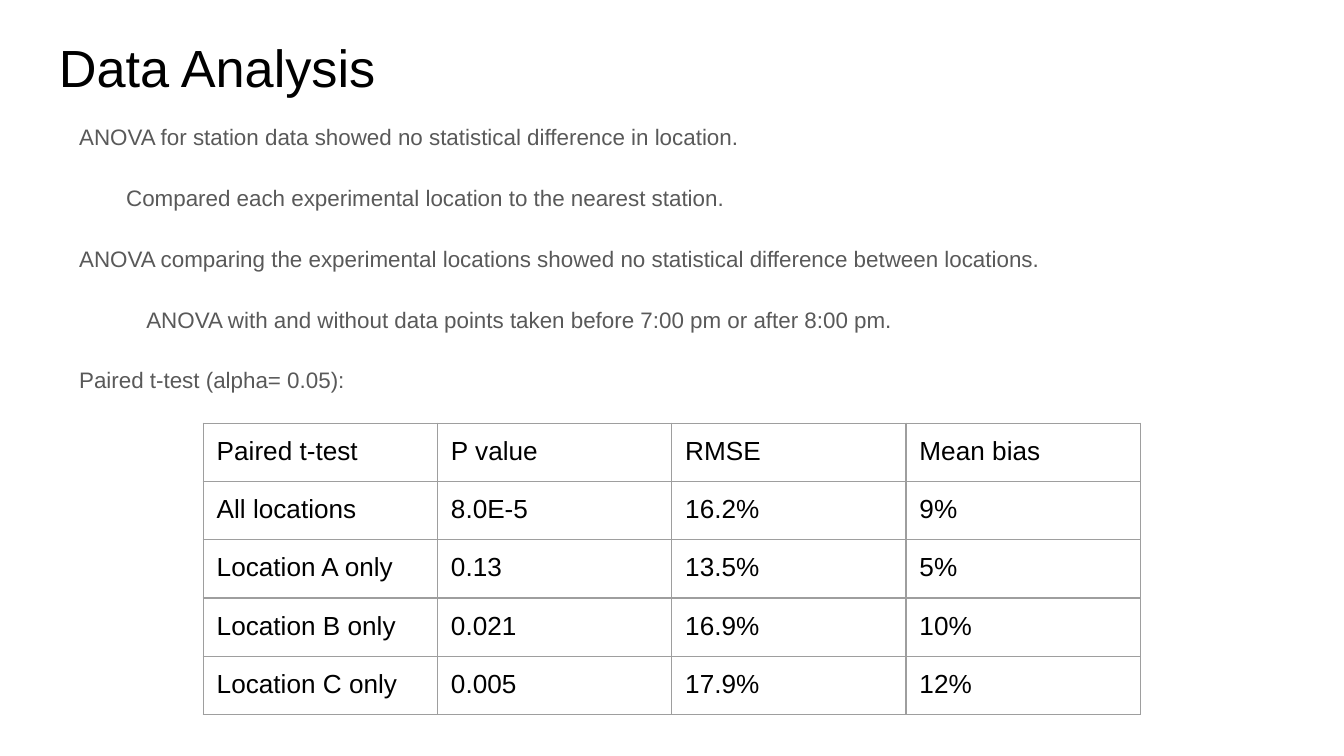
from dataclasses import dataclass

from lxml.etree import SubElement
from pptx import Presentation
from pptx.dml.color import RGBColor
from pptx.enum.text import MSO_ANCHOR
from pptx.oxml.ns import qn
from pptx.slide import Slide
from pptx.table import _Cell
from pptx.text.text import TextFrame
from pptx.util import Pt

COLORS = {"ink": "000000", "body": "595959", "border": "9E9E9E"}
INSET = 7.2
MARGINS = {f"margin_{side}": Pt(INSET) for side in ("left", "top", "right", "bottom")}
PLAIN = {"line_spacing": 1.0, "space_after": Pt(0)}
SPACED = {"line_spacing": 1.15, "space_after": Pt(16)}


@dataclass
class Line:
    text: str
    indent: float = 0
    hanging: float = 0
    level: int = 0


@dataclass
class Style:
    size: float
    color: str
    spacing: dict


@dataclass
class TextBlock:
    left: float
    top: float
    width: float
    height: float
    style: Style
    lines: list[Line]


@dataclass
class Grid:
    left: float
    top: float
    column_width: float
    row_height: float
    style: Style
    rows: list[list[str]]


TITLE = TextBlock(24.5, 11.5, 671, 45.4, Style(28, "ink", PLAIN), [Line("Data Analysis")])

FINDINGS = TextBlock(24.5, 56.9, 671, 269.3, Style(12, "body", SPACED), [
    Line("ANOVA for station data showed no statistical difference in location.", 36, 25.2),
    Line("Compared each experimental location to the nearest station.", 36),
    Line("ANOVA comparing the experimental locations showed no statistical "
         "difference between locations.", 36, 25.2),
    Line("ANOVA with and without data points taken before 7:00 pm or after 8:00 pm.",
         72, 25.2, 1),
    Line("Paired t-test (alpha= 0.05):", 36, 25.2),
])

TEST_RESULTS = Grid(108.9, 226.7, 125.5, 31.2, Style(14, "ink", PLAIN), [
    ["Paired t-test", "P value", "RMSE", "Mean bias"],
    ["All locations", "8.0E-5", "16.2%", "9%"],
    ["Location A only", "0.13", "13.5%", "5%"],
    ["Location B only", "0.021", "16.9%", "10%"],
    ["Location C only", "0.005", "17.9%", "12%"],
])


def apply(target: object, values: dict) -> None:
    for name, value in values.items():
        setattr(target, name, value)


def write_lines(frame: TextFrame, lines: list[Line], style: Style) -> None:
    for index, line in enumerate(lines):
        para = frame.add_paragraph() if index else frame.paragraphs[0]
        apply(para, {"level": line.level, **style.spacing})
        properties = para._p.get_or_add_pPr()
        properties.set("marL", str(Pt(line.indent)))
        properties.set("indent", str(Pt(-line.hanging)))
        span = para.add_run()
        span.text = line.text
        apply(span.font, {"name": "Arial", "size": Pt(style.size)})
        span.font.color.rgb = RGBColor.from_string(COLORS[style.color])


def draw_text(page: Slide, block: TextBlock) -> None:
    box = page.shapes.add_textbox(
        Pt(block.left), Pt(block.top), Pt(block.width), Pt(block.height))
    apply(box.text_frame,
          {"word_wrap": True, "vertical_anchor": MSO_ANCHOR.TOP, **MARGINS})
    write_lines(box.text_frame, block.lines, block.style)


def draw_borders(cell: _Cell) -> None:
    properties = cell._tc.get_or_add_tcPr()
    for side in ("lnL", "lnR", "lnT", "lnB"):
        border = SubElement(properties, qn(f"a:{side}"), w=str(Pt(0.75)))
        fill = SubElement(border, qn("a:solidFill"))
        SubElement(fill, qn("a:srgbClr"), val=COLORS["border"])


def draw_table(page: Slide, grid: Grid) -> None:
    row_count, column_count = len(grid.rows), len(grid.rows[0])
    table = page.shapes.add_table(
        row_count, column_count, Pt(grid.left), Pt(grid.top),
        Pt(grid.column_width * column_count), Pt(grid.row_height * row_count)).table
    apply(table, {"first_row": False, "horz_banding": False})
    for column in table.columns:
        column.width = Pt(grid.column_width)
    for row, texts in zip(table.rows, grid.rows):
        row.height = Pt(grid.row_height)
        for cell, text in zip(row.cells, texts):
            apply(cell, {"vertical_anchor": MSO_ANCHOR.TOP, **MARGINS})
            write_lines(cell.text_frame, [Line(text)], grid.style)
            draw_borders(cell)
            cell.fill.background()


def main() -> None:
    deck = Presentation()
    apply(deck, {"slide_width": Pt(720), "slide_height": Pt(405)})
    page = deck.slides.add_slide(deck.slide_layouts[6])
    for block in (TITLE, FINDINGS):
        draw_text(page, block)
    draw_table(page, TEST_RESULTS)
    deck.save("out.pptx")


if __name__ == "__main__":
    main()
